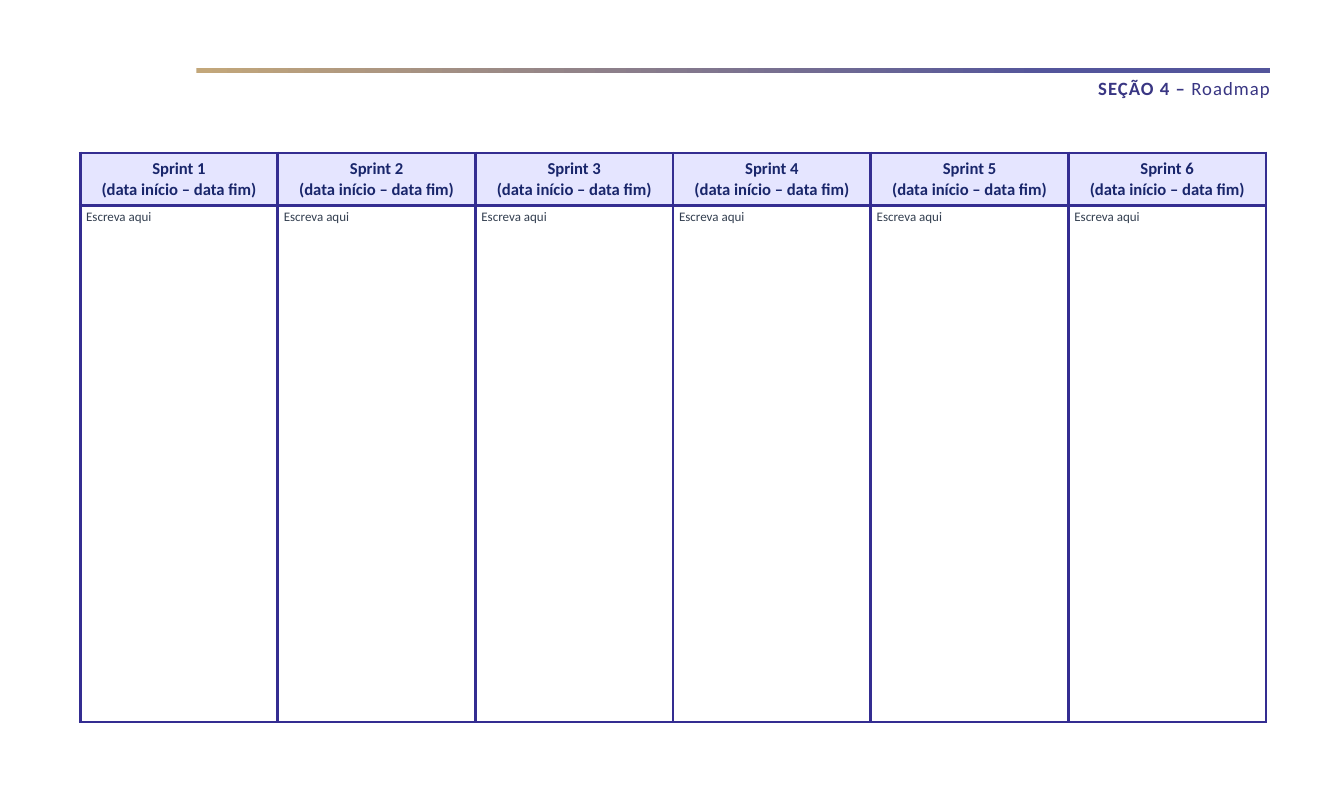
from lxml import etree
from pptx import Presentation
from pptx.dml.color import RGBColor
from pptx.enum.shapes import MSO_SHAPE
from pptx.enum.text import MSO_ANCHOR, MSO_AUTO_SIZE, PP_ALIGN
from pptx.oxml.ns import qn
from pptx.util import Inches, Pt

RECTANGLE = MSO_SHAPE.RECTANGLE
TOP, MIDDLE = MSO_ANCHOR.TOP, MSO_ANCHOR.MIDDLE
LEFT, CENTER, RIGHT = PP_ALIGN.LEFT, PP_ALIGN.CENTER, PP_ALIGN.RIGHT
NO_AUTOFIT = MSO_AUTO_SIZE.NONE

SAND = RGBColor(0xC3, 0xA7, 0x7A)
VIOLET = RGBColor(0x53, 0x55, 0x9B)
TITLE_INK = RGBColor(0x39, 0x36, 0x83)
BORDER = RGBColor(0x34, 0x2D, 0x91)
HEADER_FILL = RGBColor(0xE5, 0xE5, 0xFF)
HEADER_INK = RGBColor(0x19, 0x26, 0x6B)
BODY_INK = RGBColor(0x33, 0x3F, 0x50)

FONT = "Calibri"
SPRINTS = 6
ROW_HEIGHTS = (0.69, 6.89)
PADDING = Inches(0.08)
BORDER_WIDTH = Pt(3)

TITLE_FORMAT = {"name": FONT, "size": Pt(18)}
HEADER_FORMAT = {"name": FONT, "size": Pt(16), "bold": True}
BODY_FORMAT = {"name": FONT, "size": Pt(12.5), "bold": False}


def set_attributes(target, values):
    for name, value in values.items():
        setattr(target, name, value)


def format_font(font, values, color):
    set_attributes(font, values)
    font.color.rgb = color


def add_gradient_bar(slide, left, top, width, height):
    bar = slide.shapes.add_shape(RECTANGLE, left, top, width, height)
    bar.shadow.inherit = False
    bar.line.fill.background()
    bar.fill.gradient()
    bar.fill.gradient_angle = 0
    for stop, position, color in zip(bar.fill.gradient_stops, (0, 0.8), (SAND, VIOLET)):
        stop.position = position
        stop.color.rgb = color


def place_title(slide, left, top, width, height):
    title = slide.shapes.title
    set_attributes(title, {"left": left, "top": top, "width": width, "height": height})
    frame = title.text_frame
    set_attributes(frame, {
        "auto_size": NO_AUTOFIT, "word_wrap": True, "vertical_anchor": MIDDLE,
        "margin_left": 0, "margin_right": 0,
        "margin_top": PADDING, "margin_bottom": PADDING,
    })
    para = frame.paragraphs[0]
    para.alignment = RIGHT
    for text, bold in (("SEÇÃO 4 – ", True), ("Roadmap", False)):
        span = para.add_run()
        span.text = text
        format_font(span.font, {**TITLE_FORMAT, "bold": bold}, TITLE_INK)
        span.font._element.set("spc", "100")


def add_borders(cell):
    properties = cell._tc.get_or_add_tcPr()
    for index, side in enumerate(("lnL", "lnR", "lnT", "lnB")):
        line = etree.Element(qn(f"a:{side}"), w=str(BORDER_WIDTH))
        fill = etree.SubElement(line, qn("a:solidFill"))
        etree.SubElement(fill, qn("a:srgbClr"), val=str(BORDER))
        properties.insert(index, line)


def fill_cell(cell, lines, anchor, alignment, values, color, spacing=None):
    set_attributes(cell, {
        "margin_left": PADDING, "margin_right": PADDING,
        "margin_top": PADDING, "margin_bottom": PADDING,
        "vertical_anchor": anchor,
    })
    frame = cell.text_frame
    frame.text = "\n".join(lines)
    for para in frame.paragraphs:
        para.alignment = alignment
        para.line_spacing = spacing
        format_font(para.runs[0].font, values, color)
    add_borders(cell)


def add_roadmap(slide, left, top, width, height):
    table = slide.shapes.add_table(2, SPRINTS, left, top, width, height).table
    for row, share in zip(table.rows, ROW_HEIGHTS):
        row.height = int(height * share / sum(ROW_HEIGHTS))
    for index, column in enumerate(table.columns):
        column.width = width // SPRINTS
        header, body = table.cell(0, index), table.cell(1, index)
        header.fill.solid()
        header.fill.fore_color.rgb = HEADER_FILL
        body.fill.background()
        fill_cell(header, (f"Sprint {index + 1}", "(data início – data fim)"),
                  MIDDLE, CENTER, HEADER_FORMAT, HEADER_INK)
        fill_cell(body, ("Escreva aqui",), TOP, LEFT, BODY_FORMAT, BODY_INK, Pt(13))


def main():
    deck = Presentation()
    deck.slide_width, deck.slide_height = Inches(17.94), Inches(10.5)
    slide = deck.slides.add_slide(deck.slide_layouts.get_by_name("Title Only"))
    add_gradient_bar(slide, Inches(2.62), Inches(0.91), Inches(14.33), Inches(0.06))
    place_title(slide, Inches(14.08), Inches(0.94), Inches(2.87), Inches(0.46))
    add_roadmap(slide, Inches(1.07), Inches(2.04), Inches(15.83), Inches(sum(ROW_HEIGHTS)))
    deck.save("out.pptx")


if __name__ == "__main__":
    main()
